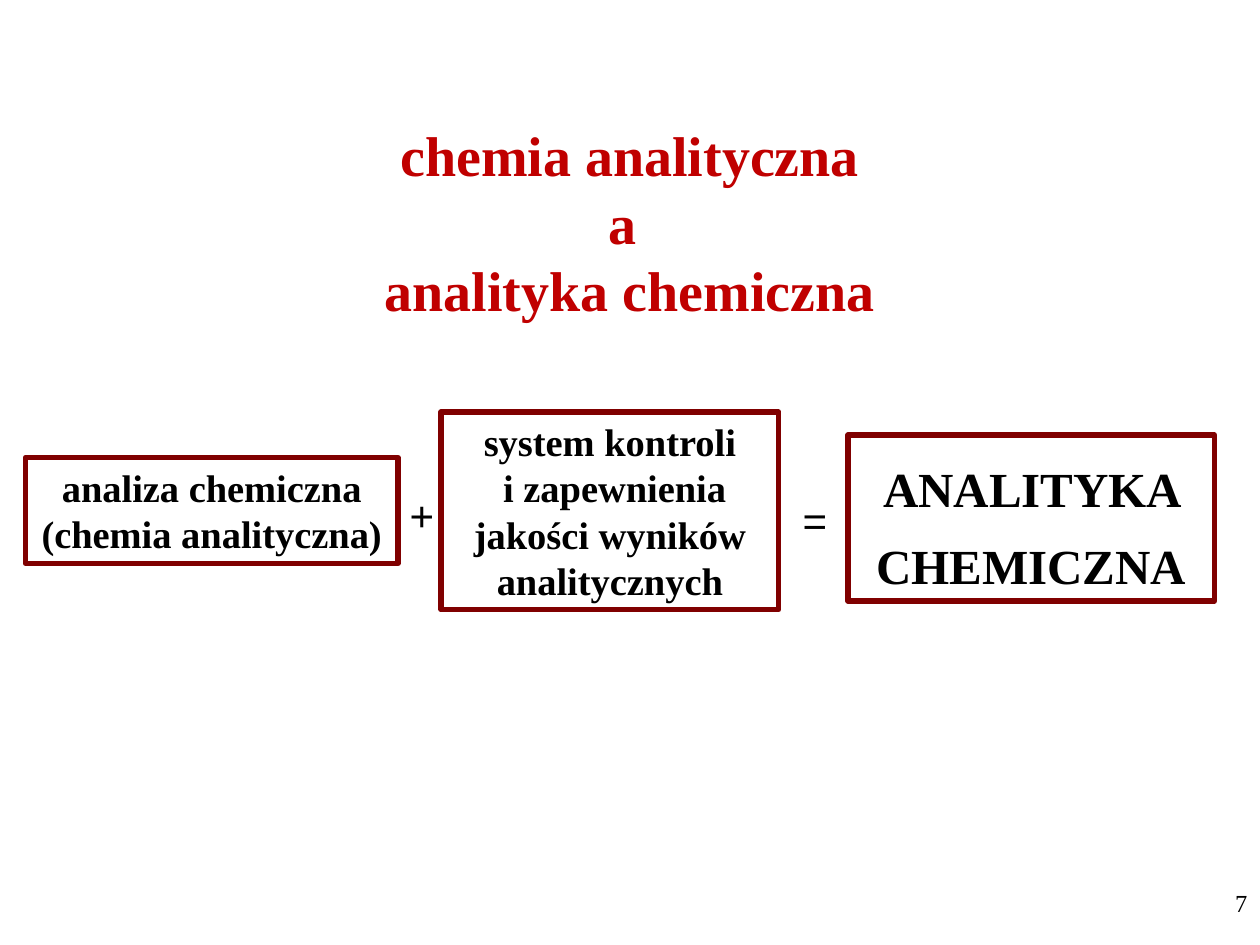
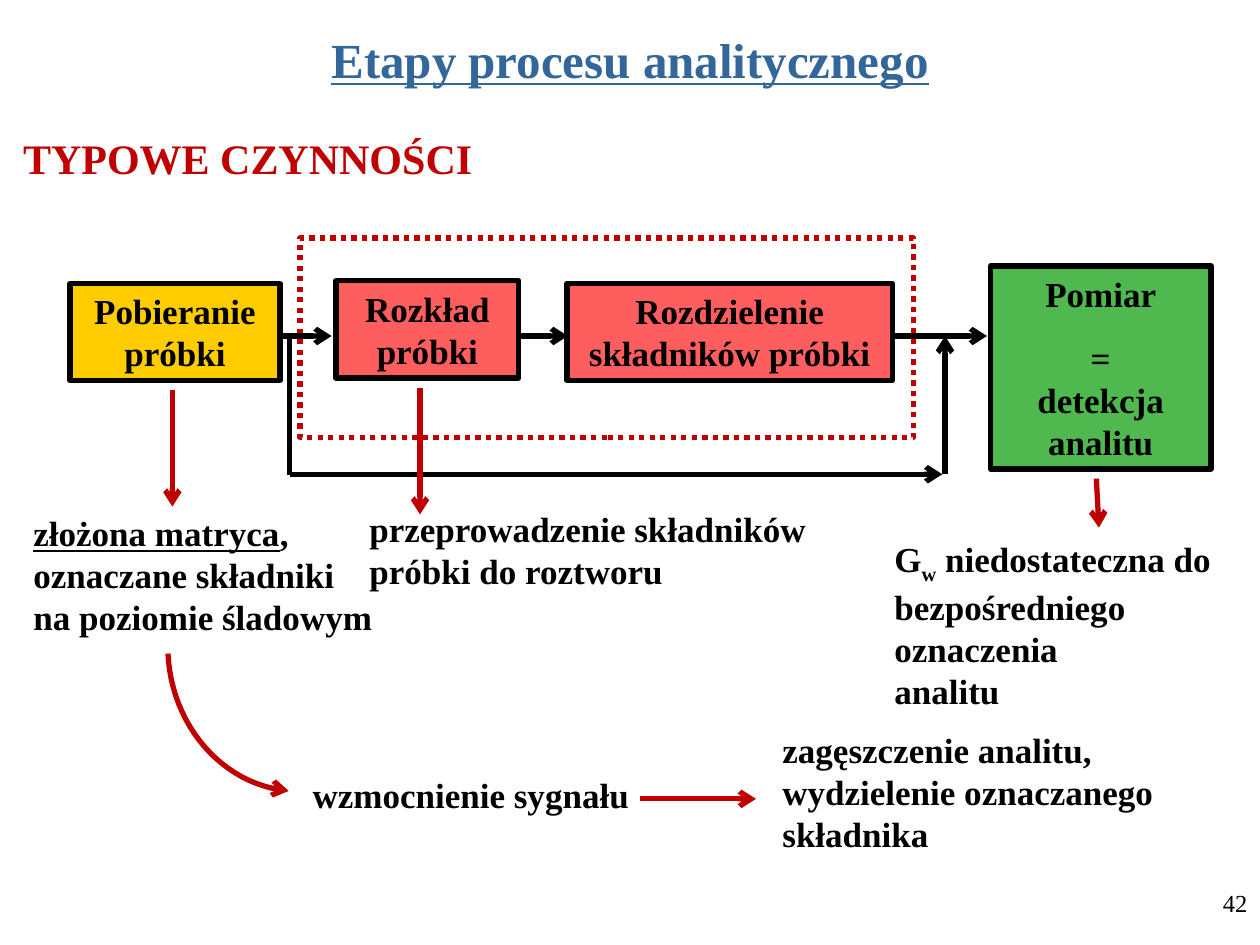
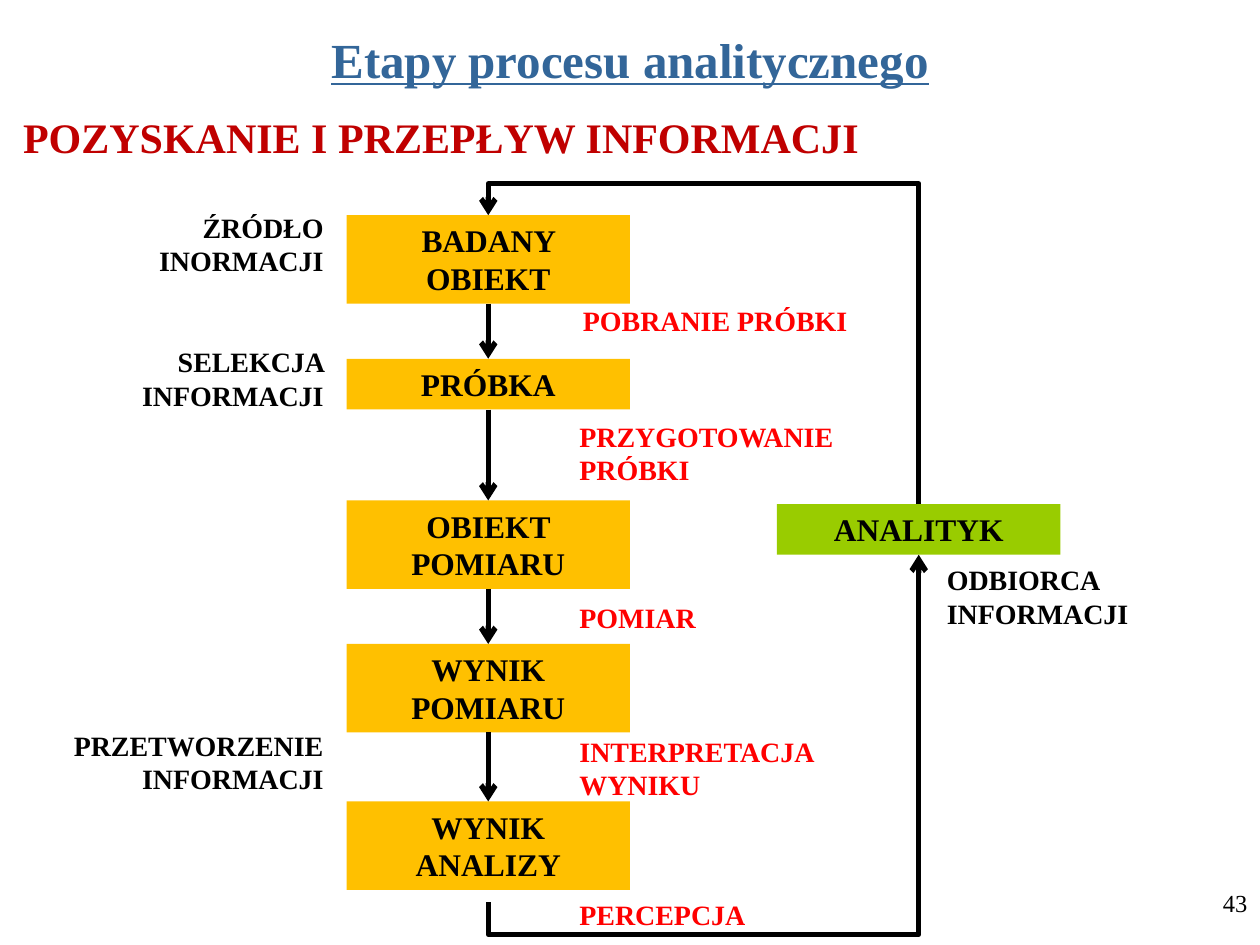
from lxml import etree
from pptx import Presentation
from pptx.dml.color import RGBColor
from pptx.enum import dml, shapes, text
from pptx.oxml import ns
from pptx.util import Pt

BLACK = RGBColor(0, 0, 0)
WHITE = RGBColor(255, 255, 255)
RED = RGBColor(255, 0, 0)
CRIMSON = RGBColor(0xC0, 0, 0)
MAROON = RGBColor(0x80, 0, 0)
STEEL = RGBColor(0x33, 0x66, 0x99)
YELLOW = RGBColor(0xFF, 0xCC, 0)
AMBER = RGBColor(0xFF, 0xC0, 0)
GREEN = RGBColor(0, 0x99, 0)
LIME = RGBColor(0x99, 0xCC, 0)

SERIF = "Times New Roman"
LINE_WIDTH = Pt(3)
LEFT, CENTER, RIGHT, JUSTIFY = (text.PP_ALIGN.LEFT, text.PP_ALIGN.CENTER,
                                text.PP_ALIGN.RIGHT, text.PP_ALIGN.JUSTIFY)
TITLE_AND_BODY, TITLE_ONLY = 1, 5


# ---- text ----
def add_run(p, words, size, color=BLACK, bold=True, underline=False, font=SERIF, baseline=0):
    for i, line in enumerate(words.split("\n")):
        if i:
            p.add_line_break()
        if not line:
            continue
        r = p.add_run()
        r.text = line
        r.font.name, r.font.size, r.font.bold = font, Pt(size), bold
        r.font.underline = underline
        r.font.color.rgb = color
        if baseline:
            r._r.get_or_add_rPr().set("baseline", str(baseline * 1000))


def fill_text(sp, paragraphs, size, align=LEFT, gap=0, anchor=text.MSO_ANCHOR.TOP, **fmt):
    """Each paragraph is a string or a list of (words, run format) pairs."""
    tf = sp.text_frame
    tf.word_wrap = True
    tf.auto_size = text.MSO_AUTO_SIZE.NONE
    tf.vertical_anchor = anchor
    for i, runs in enumerate(paragraphs):
        p = tf.add_paragraph() if i else tf.paragraphs[0]
        p.alignment = align
        p.space_before = Pt(gap if i else 0)
        for words, extra in [(runs, {})] if isinstance(runs, str) else runs:
            add_run(p, words, size, **{**fmt, **extra})
    return tf


def place(sp, x, y, w, h):
    sp.left, sp.top, sp.width, sp.height = Pt(x), Pt(y), Pt(w), Pt(h)


def label(s, x, y, w, h, words, size, **fmt):
    paragraphs = [words] if isinstance(words, (str, list)) else words
    fill_text(s.shapes.add_textbox(Pt(x), Pt(y), Pt(w), Pt(h)), paragraphs, size, **fmt)


# ---- boxes and lines ----
def box(s, x, y, w, h, paragraphs=(), size=20, fill=None, alpha=None, line=None):
    sp = s.shapes.add_shape(shapes.MSO_SHAPE.RECTANGLE, Pt(x), Pt(y), Pt(w), Pt(h))
    sp.shadow.inherit = False
    if fill is None:
        sp.fill.background()
    else:
        sp.fill.solid()
        sp.fill.fore_color.rgb = fill
    if alpha:
        color = sp._element.spPr.find(ns.qn("a:solidFill"))[0]
        etree.SubElement(color, ns.qn("a:alpha"), val=str(alpha * 1000))
    if line is None:
        sp.line.fill.background()
    else:
        sp.line.color.rgb, sp.line.width = line, LINE_WIDTH
    fill_text(sp, paragraphs, size, CENTER, gap=12.5)
    return sp


def style_line(sp, color, arrow=True):
    sp.line.color.rgb, sp.line.width = color, LINE_WIDTH
    if arrow:
        etree.SubElement(sp.line._get_or_add_ln(), ns.qn("a:tailEnd"), type="arrow")


def straight(s, x1, y1, x2, y2, color=BLACK, arrow=True):
    c = s.shapes.add_connector(shapes.MSO_CONNECTOR.STRAIGHT, Pt(x1), Pt(y1), Pt(x2), Pt(y2))
    style_line(c, color, arrow)
    etree.SubElement(c._element.spPr, ns.qn("a:effectLst"))


def rising_elbow(s, x1, y1, x2, y2, via_y):
    """Leaves vertically, crosses at via_y and ends vertically; y2 lies above y1."""
    w, h = y1 - y2, abs(x2 - x1)
    left, top = (x1 + x2 - w) / 2, (y1 + y2 - h) / 2
    start, end = (top + h, top) if x2 < x1 else (top, top + h)
    c = s.shapes.add_connector(shapes.MSO_CONNECTOR.ELBOW,
                               Pt(left), Pt(start), Pt(left + w), Pt(end))
    spPr = c._element.spPr
    spPr.find(ns.qn("a:xfrm")).set("rot", str(270 * 60000))
    geom = spPr.find(ns.qn("a:prstGeom"))
    guides = geom.find(ns.qn("a:avLst"))
    if guides is None:
        guides = etree.SubElement(geom, ns.qn("a:avLst"))
    bend = round((via_y - y1) / (y2 - y1) * 100000)
    etree.SubElement(guides, ns.qn("a:gd"), name="adj1", fmla=f"val {bend}")
    style_line(c, BLACK)
    etree.SubElement(spPr, ns.qn("a:effectLst"))


def curved_arrow(s, points, color, steps=24):
    """Draws a cubic curve through four control points as a fine polyline."""
    def at(t):
        weights = ((1 - t) ** 3, 3 * t * (1 - t) ** 2, 3 * t * t * (1 - t), t ** 3)
        return tuple(Pt(sum(k * pt[axis] for k, pt in zip(weights, points))) for axis in (0, 1))

    curve = [at(i / steps) for i in range(steps + 1)]
    builder = s.shapes.build_freeform(*curve[0])
    builder.add_line_segments(curve[1:], close=False)
    sp = builder.convert_to_shape()
    sp.shadow.inherit = False
    sp.fill.background()
    style_line(sp, color)


# ---- parts shared by the slides ----
def page_number(s, number):
    label(s, 570, 504, 150, 36, str(number), 14, align=RIGHT, bold=False)


def process_slide(prs, heading, heading_y, number):
    s = prs.slides.add_slide(prs.slide_layouts[TITLE_AND_BODY])
    title, body = s.placeholders
    place(title, 54, 7, 612, 53.5)
    fill_text(title, ["Etapy procesu analitycznego"], 28, CENTER,
              anchor=text.MSO_ANCHOR.MIDDLE, color=STEEL, underline=True)
    place(body, 6, heading_y, 702, 528 - heading_y)
    p = body.text_frame.paragraphs[0]
    pPr = p._p.get_or_add_pPr()
    pPr.set("marL", str(Pt(27)))
    pPr.set("indent", str(Pt(-27)))
    etree.SubElement(pPr, ns.qn("a:buNone"))
    fill_text(body, [heading], 24, JUSTIFY, color=CRIMSON)
    page_number(s, number)
    return s


# ---- slide 1: equation ----
def equation(s, x, y):
    box(s, x, y + 26, 213, 60.5, ["analiza chemiczna (chemia analityczna)"], 22, line=MAROON)
    box(s, x + 237.5, y, 193, 113,
        ["system kontroli\n i zapewnienia jakości wyników analitycznych"], 22, line=MAROON)
    result = box(s, x + 470, y + 13, 209.5, 95, ["ANALITYKA CHEMICZNA"], 28,
                 fill=WHITE, line=MAROON)
    result.text_frame.paragraphs[0].line_spacing = 1.3
    for sign, dx, dy in (("+", 212.5, 40.5), ("=", 437, 43.5)):
        label(s, x + dx, y + dy, 34, 36, sign, 24, bold=False, font="Arial")


def comparison_slide(prs):
    s = prs.slides.add_slide(prs.slide_layouts[TITLE_ONLY])
    title = s.shapes.title
    place(title, 76.5, 65.5, 567, 122.5)
    fill_text(title, ["chemia analityczna\na ", "analityka chemiczna"], 32, CENTER, color=CRIMSON)
    equation(s, 14.5, 235.5)
    page_number(s, 7)


# ---- slide 2: typical steps ----
def step_flow(s, x, y):
    for dx, dy, w, h, words, fill, alpha in (
            (0, 26, 120, 55.5, ["Pobieranie\npróbki"], YELLOW, None),
            (152, 24.5, 104.5, 55.5, ["Rozkład\npróbki"], RED, 63),
            (284, 26, 186, 55.5, ["Rozdzielenie składników próbki"], RED, 63),
            (526, 16, 126, 116, ["Pomiar", "=\ndetekcja analitu"], GREEN, 69)):
        box(s, x + dx, y + dy, w, h, words, fill=fill, alpha=alpha, line=BLACK)
    frame = box(s, x + 131.5, y, 350.5, 114, line=CRIMSON)
    frame.line.dash_style = dml.MSO_LINE.ROUND_DOT
    for x1, y1, x2, y2, color, arrow in (
            # main path
            (120, 56, 149.5, 56, BLACK, True),
            (255, 56, 284.5, 56, BLACK, True),
            (470, 56, 524, 56, BLACK, True),
            # bypass
            (125.5, 57, 125.5, 135.5, BLACK, False),
            (125.5, 135, 498.5, 135, BLACK, True),
            (500, 135, 500, 56, BLACK, True),
            # pointers to the notes
            (58.5, 87, 58.5, 153.5, CRIMSON, True),
            (200, 86, 200, 158, CRIMSON, True),
            (586.5, 137.5, 588, 165.5, CRIMSON, True)):
        straight(s, x + x1, y + y1, x + x2, y + y2, color, arrow)


def step_notes(s, x, y):
    for dx, dy, w, h, words in (
            (192, 0, 294, 55.5, "przeprowadzenie składników próbki do roztworu"),
            (0, 2.5, 218, 79, [("złożona matryca", {"underline": True}),
                               (",\noznaczane składniki\nna poziomie śladowym", {})]),
            (159.5, 152, 234, 32, "wzmocnienie sygnału"),
            (428, 126, 267, 79, "zagęszczenie analitu, wydzielenie oznaczanego składnika"),
            (492, 17, 210, 106.5, [("G", {}), ("w", {"baseline": -25}),
                                   (" niedostateczna do\nbezpośredniego oznaczenia\nanalitu", {})])):
        label(s, x + dx, y + dy, w, h, words, 20)
    curve = ((84, 87), (86, 128), (115, 162), (153, 165.5))
    curved_arrow(s, [(x + dx, y + dy) for dx, dy in curve], CRIMSON)
    straight(s, x + 354, y + 170, x + 420, y + 170, CRIMSON)


# ---- slide 3: information flow ----
def information_flow(s, x, y):
    w, one_line, two_lines = 162, 29, 50.5
    mid = x + w / 2
    stages = (("BADANY OBIEKT", 0, two_lines), ("PRÓBKA", 82, one_line),
              ("OBIEKT POMIARU", 163, two_lines), ("WYNIK POMIARU", 245, two_lines),
              ("WYNIK ANALIZY", 335, two_lines))
    for words, dy, h in stages:
        box(s, x, y + dy, w, h, [words], 18, fill=AMBER)
    for (_, dy, h), (_, next_dy, _) in zip(stages, stages[1:]):
        straight(s, mid, y + dy + h, mid, y + next_dy)

    # loop through the analyst
    analyst_x, analyst_y = x + 246, y + 165
    analyst_mid = analyst_x + w / 2
    box(s, analyst_x, analyst_y, w, one_line, ["ANALITYK"], 18, fill=LIME)
    rising_elbow(s, analyst_mid, analyst_y, mid, y, y - 18)
    rising_elbow(s, mid, y + 392.5, analyst_mid, analyst_y + one_line, y + 411)


def flow_labels(s, x, y):
    w, one_line, two_lines = 168, 26.5, 46
    for words, dx, dy, h in (("POBRANIE PRÓBKI", 302, 53.5, one_line),
                             ("PRZYGOTOWANIE PRÓBKI", 300, 119.5, two_lines),
                             ("POMIAR", 300, 223, one_line),
                             ("INTERPRETACJA WYNIKU", 300, 299.5, two_lines),
                             ("PERCEPCJA", 300, 393, one_line)):
        label(s, x + dx, y + dy, w, h, words, 16, color=RED)
    for words, dy in (("ŹRÓDŁO INORMACJI", 0), ("SELEKCJA INFORMACJI", 77),
                      ("PRZETWORZENIE INFORMACJI", 296)):
        label(s, x, y + dy, w, two_lines, words, 16, align=RIGHT)
    label(s, x + 510, y + 201.5, w, two_lines, "ODBIORCA INFORMACJI", 16)


def main():
    prs = Presentation()
    prs.slide_width, prs.slide_height = Pt(720), Pt(540)
    comparison_slide(prs)
    s = process_slide(prs, "TYPOWE CZYNNOŚCI", 72, 42)
    step_flow(s, 40, 136)
    step_notes(s, 12, 286.5)
    s = process_slide(prs, "POZYSKANIE I PRZEPŁYW INFORMACJI", 60, 43)
    information_flow(s, 198, 123)
    flow_labels(s, 24, 116.5)
    prs.save("out.pptx")


if __name__ == "__main__":
    main()
